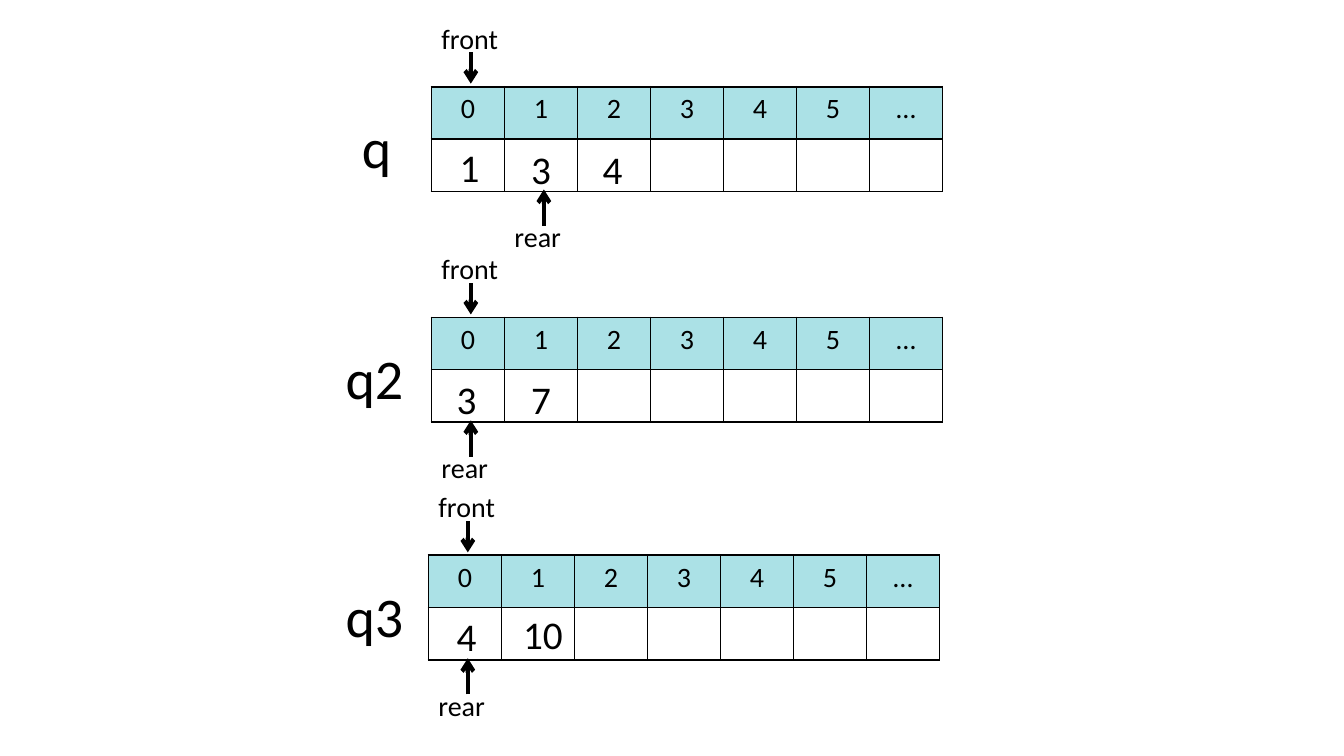
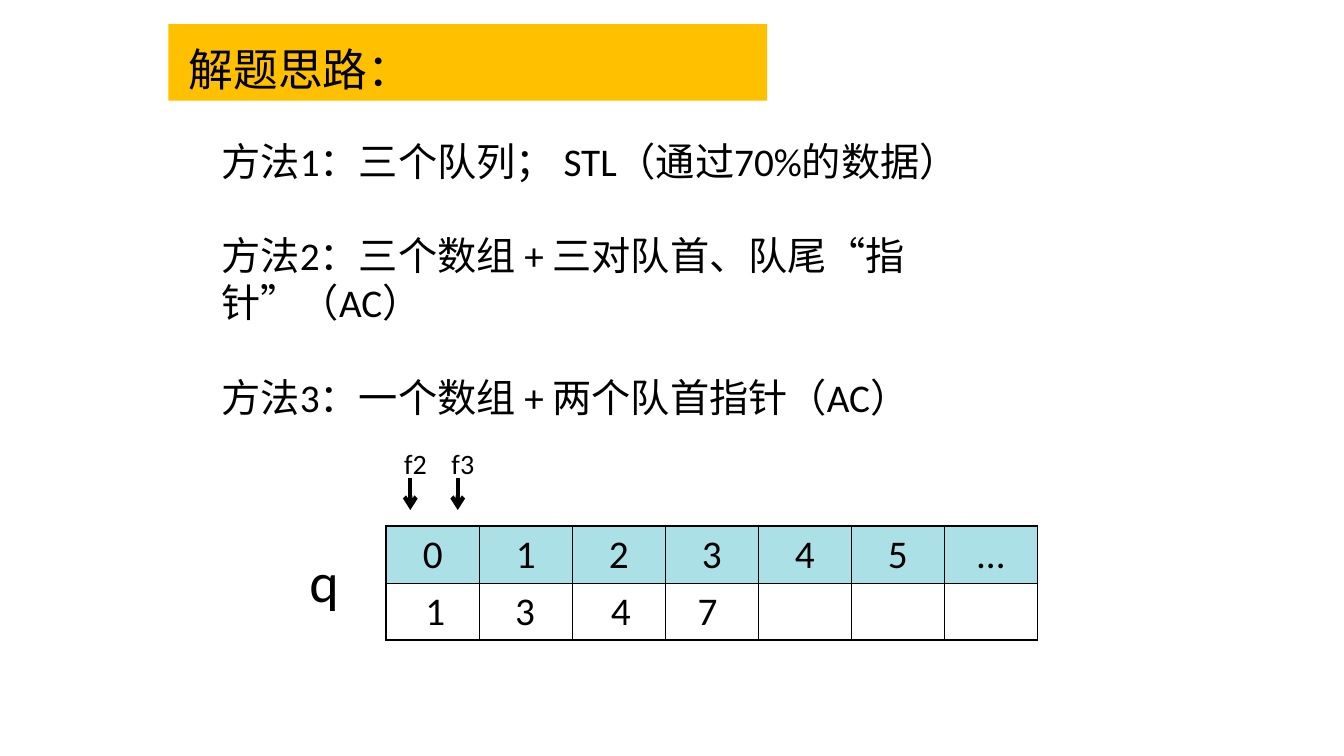
import pptx
import pptx.util
import pptx.dml.color
import pptx.enum.shapes
import pptx.enum.text
import pptx.oxml
import pptx.oxml.ns

Inches, Pt = pptx.util.Inches, pptx.util.Pt
ALIGN = pptx.enum.text.PP_ALIGN
ANCHOR = pptx.enum.text.MSO_ANCHOR

COLORS = {"ink": "000000", "title": "FFC000", "header": "28B2C0", "cell": "FFFFFF"}
HEADER_ALPHA = 39
LATIN, CJK = "Calibri", "Noto Sans CJK SC"
LABEL_SIZE, VALUE_SIZE, NAME_SIZE, TITLE_SIZE = 20, 28, 40, 32
INDEXES = ["0", "1", "2", "3", "4", "5", "…"]

QUEUES = [
    {"name": "q", "name_at": (3.49, 1.07, 0.49), "at": (4.28, 0.86), "rear": 1,
     "values": [("1", 4.46, 1.37), ("3", 5.17, 1.39), ("4", 5.88, 1.39)]},
    {"name": "q2", "name_at": (3.33, 3.36, 0.77), "at": (4.28, 3.15), "rear": 0,
     "values": [("3", 4.43, 3.67), ("7", 5.17, 3.67)]},
    {"name": "q3", "name_at": (3.33, 5.72, 0.77), "at": (4.25, 5.51), "rear": 0,
     "values": [("4", 4.43, 6.03), ("10", 5.09, 6.01)]},
]
MERGED = {"name": "q", "name_at": (2.97, 5.37, 0.49), "at": (3.83, 5.22),
          "values": [("1", 4.12, 5.77), ("3", 5.01, 5.77),
                     ("4", 5.96, 5.77), ("7", 6.82, 5.77)]}
MERGED_FRONTS = [("f2", 3.91), ("f3", 4.38)]
TITLE = "解题思路："
METHODS = [
    "方法1：三个队列； STL（通过70%的数据）",
    "方法2：三个数组 + 三对队首、队尾“指针”（AC）",
    "方法3：一个数组 + 两个队首指针（AC）",
]


def rgb(name):
    return pptx.dml.color.RGBColor.from_string(COLORS[name])


def sub(parent, tag, **attrs):
    element = pptx.oxml.ns.qn(tag)
    child = parent.makeelement(element, attrs)
    parent.append(child)
    return child


def write(p, text, size, font=LATIN):
    r = p.add_run()
    r.text = text
    for key, value in {"size": Pt(size), "name": font}.items():
        setattr(r.font, key, value)
    r.font.color.rgb = rgb("ink")
    sub(r._r.get_or_add_rPr(), "a:ea", typeface=CJK)


def add_label(shapes, text, x, y, width, height, size):
    tb = shapes.add_textbox(Inches(x), Inches(y), Inches(width), Inches(height))
    tb.text_frame.word_wrap = False
    write(tb.text_frame.paragraphs[0], text, size)


def add_pointer(s, text, x, y, width, arrow_x, arrow_from, arrow_to):
    shapes = s.shapes.add_group_shape().shapes
    add_label(shapes, text, x, y, width, 0.44, LABEL_SIZE)
    line = shapes.add_connector(
        pptx.enum.shapes.MSO_CONNECTOR.STRAIGHT,
        Inches(arrow_x), Inches(arrow_from), Inches(arrow_x), Inches(arrow_to))
    line.line.color.rgb = rgb("ink")
    line.line.width = Pt(3)
    sub(line.line._get_or_add_ln(), "a:tailEnd", type="arrow")
    sub(line._element.spPr, "a:effectLst")


def style_cell(cell, row, col, last_col):
    cell.fill.solid()
    cell.fill.fore_color.rgb = rgb("cell" if row else "header")
    tcPr = cell._tc.get_or_add_tcPr()
    if row == 0:
        color = tcPr.find(".//" + pptx.oxml.ns.qn("a:srgbClr"))
        sub(color, "a:alpha", val=str(HEADER_ALPHA * 1000))
    outer = {"L": col == 0, "R": col == last_col, "T": row == 0, "B": row == 1}
    for i, (side, on_edge) in enumerate(outer.items()):
        ln = sub(tcPr, "a:ln" + side, w=str(Pt(1.5 if on_edge else 1)))
        sub(sub(ln, "a:solidFill"), "a:srgbClr", val=COLORS["ink"])
        tcPr.insert(i, ln)


def add_queue(s, queue, width, height, index_size):
    left, top = queue["at"]
    count = len(INDEXES)
    table = s.shapes.add_table(2, count, Inches(left), Inches(top),
                               Inches(width), Inches(height)).table
    table.first_row = table.horz_banding = False
    for column in table.columns:
        column.width = Inches(width / count)
    for row in range(2):
        table.rows[row].height = Inches(height / 2)
        for col in range(count):
            style_cell(table.cell(row, col), row, col, count - 1)
    for col, index in enumerate(INDEXES):
        p = table.cell(0, col).text_frame.paragraphs[0]
        p.alignment = ALIGN.CENTER
        write(p, index, index_size)
    x, y, name_width = queue["name_at"]
    add_label(s.shapes, queue["name"], x, y, name_width, 0.77, NAME_SIZE)
    for text, x, y in queue["values"]:
        add_label(s.shapes, text, x, y, 0.21 + 0.19 * len(text), 0.57, VALUE_SIZE)


def add_queues_slide(prs):
    s = prs.slides.add_slide(prs.slide_layouts[6])
    width, height = 5.07, 1.04
    for queue in QUEUES:
        add_queue(s, queue, width, height, LABEL_SIZE)
        left, top = queue["at"]
        rear = left + queue["rear"] * width / len(INDEXES)
        add_pointer(s, "front", left, top - 0.7, 0.76,
                    left + 0.39, top - 0.34, top - 0.03)
        add_pointer(s, "rear", rear, top + 1.27, 0.66,
                    rear + 0.39, top + 1.38, top + 1.02)


def add_methods_slide(prs):
    s = prs.slides.add_slide(prs.slide_layouts[6])
    band = s.shapes.add_shape(pptx.enum.shapes.MSO_SHAPE.RECTANGLE,
                              Inches(1.67), Inches(0.24), Inches(5.94), Inches(0.76))
    band.shadow.inherit = False
    band.fill.solid()
    band.fill.fore_color.rgb = rgb("title")
    band.line.fill.background()
    tf = band.text_frame
    for key, value in {"vertical_anchor": ANCHOR.BOTTOM, "margin_left": Inches(0.2),
                       "word_wrap": True}.items():
        setattr(tf, key, value)
    p = tf.paragraphs[0]
    p.alignment = ALIGN.LEFT
    p.line_spacing = 0.9
    write(p, TITLE, TITLE_SIZE, CJK)

    tf = s.shapes.add_textbox(Inches(2.1), Inches(1.31),
                              Inches(8.82), Inches(2.93)).text_frame
    tf.word_wrap = True
    for i, method in enumerate(METHODS):
        p = tf.add_paragraph() if i else tf.paragraphs[0]
        if i:
            p.space_before = Pt(34)
        write(p, method, VALUE_SIZE)

    add_queue(s, MERGED, 6.46, 1.13, VALUE_SIZE)
    for text, x in MERGED_FRONTS:
        add_pointer(s, text, x, 4.38, 0.43, x + 0.16, 4.74, 5.06)


def main():
    prs = pptx.Presentation()
    prs.slide_width, prs.slide_height = Inches(13.33), Inches(7.5)
    add_queues_slide(prs)
    add_methods_slide(prs)
    prs.save("out.pptx")


if __name__ == "__main__":
    main()
